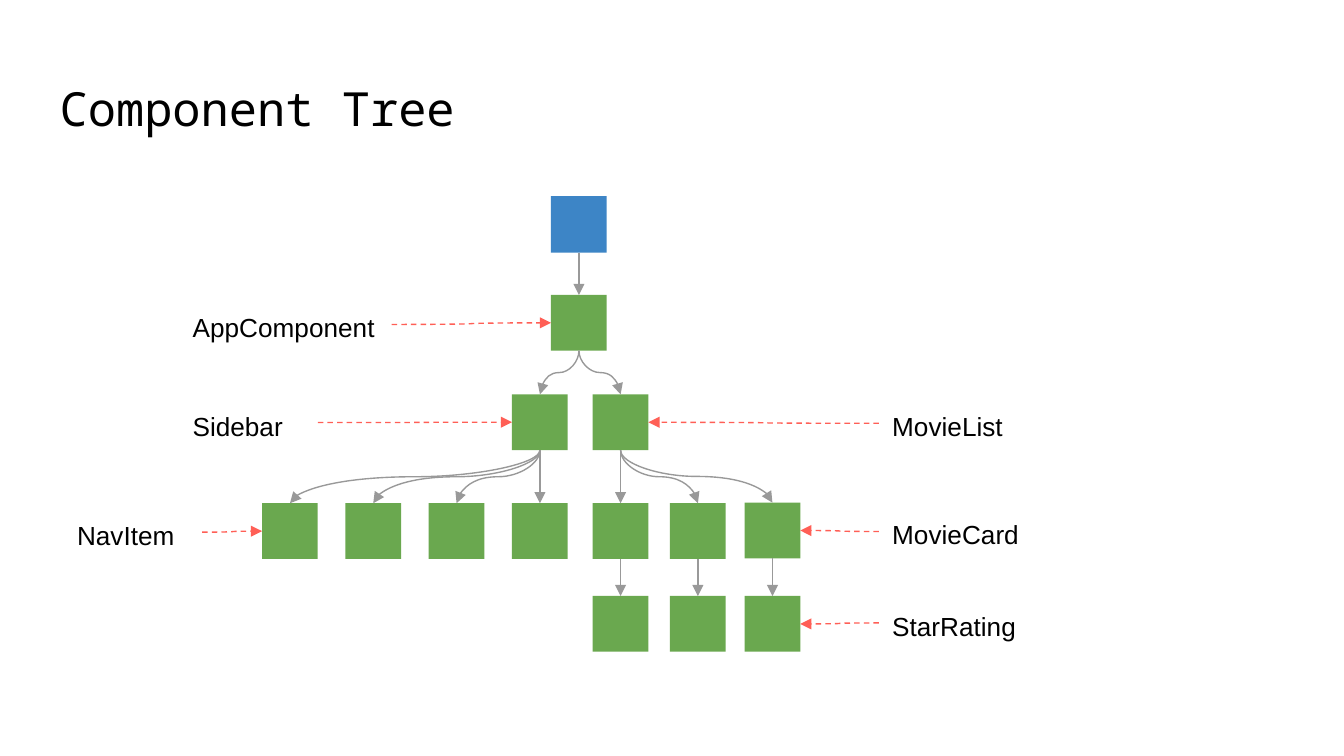
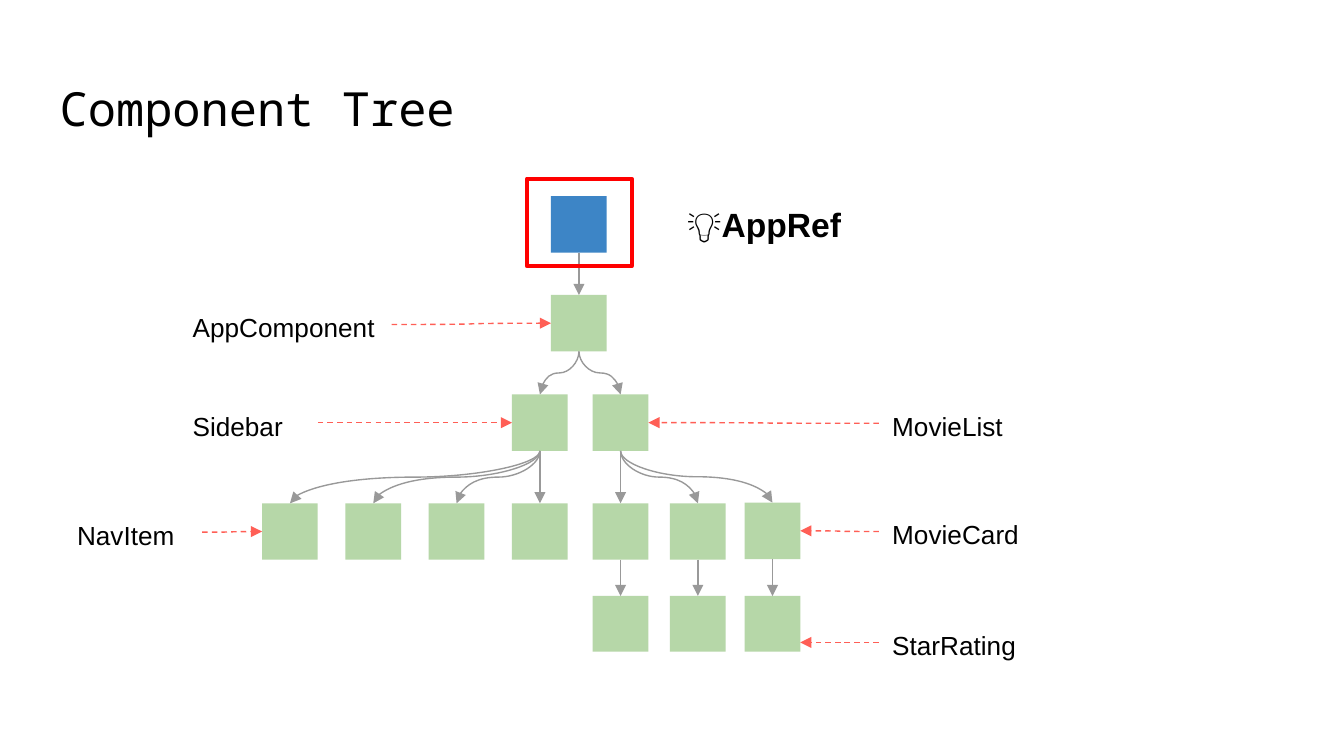
from dataclasses import dataclass
from typing import Any, Optional

import lxml.etree
import pptx
import pptx.dml.color
import pptx.enum.dml
import pptx.enum.shapes
import pptx.enum.text
import pptx.oxml.ns
import pptx.util

PX = 4572
TOP, LEFT, BOTTOM, RIGHT = range(4)
DEGREE = 60000


@dataclass(frozen=True)
class Theme:
    text: str = "000000"
    paper: str = "FFFFFF"
    root: str = "3D85C6"
    component: str = "6AA84F"
    faded: str = "B6D7A8"
    link: str = "999999"
    pointer: str = "FF5F56"
    highlight: str = "FF0000"
    title_font: str = "Noto Sans Mono"
    body_font: str = "Arial"
    title_size: float = 25.2
    label_size: float = 14
    callout_size: float = 18
    thin: float = 0.75
    thick: float = 2.25


@dataclass(frozen=True)
class Box:
    left: int
    top: int
    width: int
    height: int

    def emu(self) -> list[int]:
        return [value * PX for value in (self.left, self.top, self.width, self.height)]


@dataclass(frozen=True)
class Node:
    name: str
    left: int
    top: int
    parent: str = ""


@dataclass(frozen=True)
class Label:
    text: str
    left: int
    top: int
    width: int
    target: str


@dataclass(frozen=True)
class View:
    fill: str
    node_height: int
    rating_top: int
    highlighted: bool


THEME = Theme()
PAGE_WIDTH, PAGE_HEIGHT = 2000, 1125
NODE_SIZE = 83
ROOT_HEIGHT = 84
LABEL_HEIGHT = 78
WIDE, NARROW = 316, 206
RIGHT_LABELS = 1308
RATING_ROW = 887
TITLE_BOX = Box(69, 97, 1864, 126)
CALLOUT_BOX = Box(982, 274, 310, 118)
FRAME_BOX = Box(784, 266, 156, 130)
CARDS = ((882, 749), (997, 749), (1108, 748))

NODES = [
    Node("root", 820, 292),
    Node("app", 820, 439, "root"),
    Node("sidebar", 762, 587, "app"),
    Node("list", 882, 587, "app"),
    *(Node(f"item{index}", 390 + 124 * index, 749, "sidebar") for index in range(4)),
    *(Node(f"card{index}", left, top, "list") for index, (left, top) in enumerate(CARDS)),
    *(Node(f"rating{index}", left, RATING_ROW, f"card{index}")
      for index, (left, _) in enumerate(CARDS)),
]
LABELS = [
    Label("AppComponent", 267, 444, WIDE, "app"),
    Label("Sidebar", 267, 590, NARROW, "sidebar"),
    Label("NavItem", 95, 753, NARROW, "item0"),
    Label("MovieList", RIGHT_LABELS, 591, WIDE, "list"),
    Label("MovieCard", RIGHT_LABELS, 752, WIDE, "card2"),
]
VIEWS = [
    View(THEME.component, 83, 888, False),
    View(THEME.faded, 84, 917, True),
]


def apply(target: Any, values: dict[str, Any]) -> None:
    for name, value in values.items():
        setattr(target, name, value)


def color(value: str) -> pptx.dml.color.RGBColor:
    return pptx.dml.color.RGBColor.from_string(value)


def write(shape: Any, text: str, size: float, font: str = THEME.body_font,
          bold: bool = False, anchor: Any = pptx.enum.text.MSO_ANCHOR.TOP,
          align: Any = pptx.enum.text.PP_ALIGN.LEFT) -> None:
    inset = 20 * PX
    apply(shape.text_frame, {
        "word_wrap": True, "vertical_anchor": anchor,
        "margin_left": inset, "margin_top": inset,
        "margin_right": inset, "margin_bottom": inset,
    })
    para = shape.text_frame.paragraphs[0]
    para.alignment = align
    span = para.add_run()
    span.text = text
    apply(span.font, {"name": font, "size": pptx.util.Pt(size), "bold": bold})
    span.font.color.rgb = color(THEME.text)


def add_text(page: Any, box: Box, text: str, size: float, **style: Any) -> Any:
    shape = page.shapes.add_textbox(*box.emu())
    write(shape, text, size, **style)
    return shape


def add_rectangle(page: Any, box: Box, fill: Optional[str] = None,
                  line: Optional[str] = None) -> Any:
    shape = page.shapes.add_shape(pptx.enum.shapes.MSO_SHAPE.RECTANGLE, *box.emu())
    shape.shadow.inherit = False
    if fill:
        shape.fill.solid()
        shape.fill.fore_color.rgb = color(fill)
    else:
        shape.fill.background()
    if line:
        shape.line.color.rgb = color(line)
        shape.line.width = pptx.util.Pt(THEME.thick)
    else:
        shape.line.fill.background()
    return shape


def add_arrow(page: Any, start: Any, start_site: int, end: Any, end_site: int,
              line_color: str, dashed: bool = False) -> Any:
    arrow = page.shapes.add_connector(pptx.enum.shapes.MSO_CONNECTOR.CURVE, 0, 0, 0, 0)
    arrow.begin_connect(start, start_site)
    arrow.end_connect(end, end_site)
    arrow.line.color.rgb = color(line_color)
    arrow.line.width = pptx.util.Pt(THEME.thin)
    if dashed:
        arrow.line.dash_style = pptx.enum.dml.MSO_LINE.DASH
    properties = arrow.element.spPr
    outline = properties.find(pptx.oxml.ns.qn("a:ln"))
    lxml.etree.SubElement(outline, pptx.oxml.ns.qn("a:tailEnd"), type="triangle")
    lxml.etree.SubElement(properties, pptx.oxml.ns.qn("a:effectLst"))
    return arrow


def add_link(page: Any, parent: Any, child: Any) -> None:
    arrow = add_arrow(page, parent, BOTTOM, child, TOP, THEME.link)
    start_x, start_y = parent.left + parent.width // 2, parent.top + parent.height
    end_x, end_y = child.left + child.width // 2, child.top
    middle_x, middle_y = (start_x + end_x) // 2, (start_y + end_y) // 2
    side = 1 if end_x > start_x else -1
    reach = side * (end_y - start_y) // 2
    spread = abs(end_x - start_x) // 2
    apply(arrow, {
        "begin_x": middle_x + reach, "end_x": middle_x - reach,
        "begin_y": middle_y - spread, "end_y": middle_y + spread,
    })
    transform = arrow.element.spPr.find(pptx.oxml.ns.qn("a:xfrm"))
    transform.set("rot", str((270 if side > 0 else 90) * DEGREE))


def add_label(page: Any, label: Label, node: Any) -> None:
    box = Box(label.left, label.top, label.width, LABEL_HEIGHT)
    text = add_text(page, box, label.text, THEME.label_size)
    sites = (RIGHT, LEFT) if text.left < node.left else (LEFT, RIGHT)
    arrow = add_arrow(page, text, sites[0], node, sites[1], THEME.pointer, dashed=True)
    middle = text.top + text.height // 2
    if abs(middle - node.top - node.height // 2) > 10 * PX:
        connection = arrow.element.find(f".//{pptx.oxml.ns.qn('a:endCxn')}")
        connection.getparent().remove(connection)
        arrow.end_y = middle


def add_tree(page: Any, view: View) -> None:
    shapes: dict[str, Any] = {}
    for node in NODES:
        height = view.node_height
        fill = view.fill
        if node.name == "root":
            height, fill = ROOT_HEIGHT, THEME.root
        elif node.top == RATING_ROW:
            height = NODE_SIZE
        box = Box(node.left, node.top, NODE_SIZE, height)
        shapes[node.name] = add_rectangle(page, box, fill)
    for node in NODES:
        if node.parent:
            add_link(page, shapes[node.parent], shapes[node.name])
    rating = Label("StarRating", RIGHT_LABELS, view.rating_top, WIDE, "rating2")
    for label in [*LABELS, rating]:
        add_label(page, label, shapes[label.target])


def add_page(deck: Any, view: View) -> None:
    page = deck.slides.add_slide(deck.slide_layouts[6])
    add_text(page, TITLE_BOX, "Component Tree", THEME.title_size,
             font=THEME.title_font, anchor=pptx.enum.text.MSO_ANCHOR.MIDDLE)
    add_tree(page, view)
    if view.highlighted:
        callout = add_rectangle(page, CALLOUT_BOX, THEME.paper)
        write(callout, "💡AppRef", THEME.callout_size, bold=True,
              anchor=pptx.enum.text.MSO_ANCHOR.MIDDLE,
              align=pptx.enum.text.PP_ALIGN.CENTER)
        add_rectangle(page, FRAME_BOX, line=THEME.highlight)


def main() -> None:
    deck = pptx.Presentation()
    apply(deck, {"slide_width": PAGE_WIDTH * PX, "slide_height": PAGE_HEIGHT * PX})
    for view in VIEWS:
        add_page(deck, view)
    deck.save("out.pptx")


if __name__ == "__main__":
    main()
